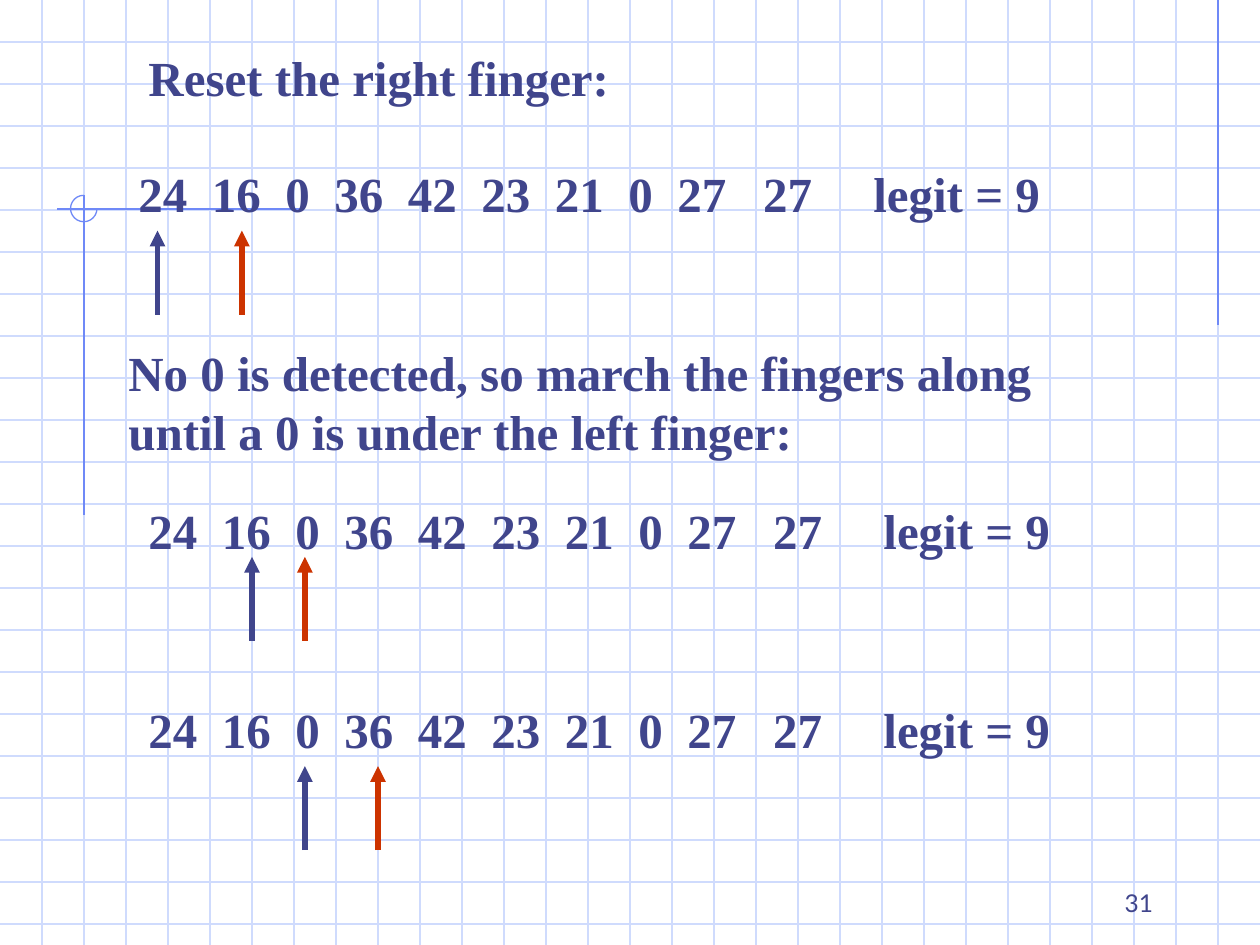
import pptx
import pptx.util
import pptx.dml.color
import pptx.enum.shapes
import pptx.enum.text
import pptx.oxml
import pptx.oxml.ns
import lxml.etree
from dataclasses import dataclass

Inches, Pt = pptx.util.Inches, pptx.util.Pt


@dataclass(frozen=True)
class Theme:
    ink: str = "40458C"
    right_finger: str = "CC3300"
    grid: str = "CFDBFD"
    accent: str = "6F89F7"
    font: str = "Times New Roman"
    number_font: str = "Lato"
    body_size: int = 28
    number_size: int = 14
    thin: float = 0.75
    thick: float = 3


THEME = Theme()
WIDTH, HEIGHT = 10, 7.5
CELL = 1 / 3  # side of a square of the graph paper

# Content: sentences as (text, left, top, width, height)
SENTENCES = [
    ("Reset the right finger:", 1.08, 0.33, 6.25, 0.57),
    ("No 0 is detected, so march the fingers along until a 0 is under the left finger:",
     0.92, 2.67, 7.58, 1.04),
]
# Each array entry with the gap after it, counted in spaces
ENTRIES = [("24", 2), ("16", 2), ("0", 2), ("36", 2), ("42", 2), ("23", 2),
           ("21", 2), ("0", 2), ("27", 3), ("27", 5), ("legit = 9", 0)]
# Steps: array left and top, then left finger x, right finger x, arrow tip y
STEPS = [
    (1.00, 1.25, 1.25, 1.92, 1.83),
    (1.08, 3.92, 2.00, 2.42, 4.42),
    (1.08, 5.50, 2.42, 3.00, 6.08),
]
ARROW_LENGTH = 2 * CELL
SLIDE_NUMBER = "31"


def color(value):
    return pptx.dml.color.RGBColor.from_string(value)


def add_line(shapes, start, end, line_color, weight, arrow=False):
    connector = shapes.add_connector(
        pptx.enum.shapes.MSO_CONNECTOR.STRAIGHT,
        *(Inches(value) for value in (*start, *end)))
    connector.line.color.rgb = color(line_color)
    connector.line.width = Pt(weight)
    if arrow:
        lxml.etree.SubElement(connector.line._get_or_add_ln(),
                              pptx.oxml.ns.qn("a:tailEnd"), type="triangle")
    lxml.etree.SubElement(connector._element.spPr, pptx.oxml.ns.qn("a:effectLst"))


def add_text(shapes, text, left, top, width, height, font, size, tabs=()):
    box = shapes.add_textbox(*(Inches(value) for value in (left, top, width, height)))
    text_frame = box.text_frame
    text_frame.word_wrap = True
    text_frame.text = text
    paragraph = text_frame.paragraphs[0]
    if tabs:
        tab_list = lxml.etree.SubElement(paragraph._p.get_or_add_pPr(),
                                         pptx.oxml.ns.qn("a:tabLst"))
        for position in tabs:
            lxml.etree.SubElement(tab_list, pptx.oxml.ns.qn("a:tab"),
                                  pos=str(int(Pt(position))), algn="l")
    run_font = paragraph.runs[0].font
    run_font.name, run_font.size = font, Pt(size)
    run_font.color.rgb = color(THEME.ink)
    run_font.bold = font == THEME.font
    return text_frame


def entry_tabs():
    """A digit is half an em wide and a space a quarter of an em."""
    position, tabs = 0, []
    for entry, spaces in ENTRIES[:-1]:
        position += THEME.body_size * (len(entry) / 2 + spaces / 4)
        tabs.append(position)
    return tabs


def add_graph_paper(shapes):
    for row in range(1, int(HEIGHT / CELL) + 1):
        add_line(shapes, (0, row * CELL), (WIDTH, row * CELL), THEME.grid, THEME.thin)
    for column in range(1, int(WIDTH / CELL)):
        add_line(shapes, (column * CELL, 0), (column * CELL, HEIGHT), THEME.grid, THEME.thin)

    # Accent rules and the three-quarter circle where they cross
    for start, end in [((29 * CELL, 0), (29 * CELL, 2.58)),
                       ((2.4, 1.66), (0.45, 1.66)),
                       ((2 * CELL, 1.55), (2 * CELL, 4.09))]:
        add_line(shapes, start, end, THEME.accent, THEME.thin)
    arc = shapes.add_shape(pptx.enum.shapes.MSO_SHAPE.ARC, Inches(0.56), Inches(1.55),
                           Inches(0.21), Inches(0.21))
    arc.adjustments[0], arc.adjustments[1] = 0, 162  # right round to the top
    arc.shadow.inherit = False
    arc.fill.background()
    arc.line.color.rgb = color(THEME.accent)
    arc.line.width = Pt(THEME.thin)


def main():
    presentation = pptx.Presentation()
    presentation.slide_width, presentation.slide_height = Inches(WIDTH), Inches(HEIGHT)
    slide = presentation.slides.add_slide(presentation.slide_layouts[6])
    shapes = slide.shapes
    add_graph_paper(shapes)

    # Sentences
    for sentence in SENTENCES:
        add_text(shapes, *sentence, THEME.font, THEME.body_size)

    # Array rows, each with its two fingers
    array_text = "\t".join(entry for entry, _ in ENTRIES)
    for left, top, left_finger, right_finger, tip in STEPS:
        add_text(shapes, array_text, left, top, 7.58, 0.57,
                 THEME.font, THEME.body_size, entry_tabs())
        for x, finger_color in ((left_finger, THEME.ink), (right_finger, THEME.right_finger)):
            add_line(shapes, (x, tip + ARROW_LENGTH), (x, tip),
                     finger_color, THEME.thick, arrow=True)

    # Slide number
    number_frame = add_text(shapes, SLIDE_NUMBER, 7.17, 6.83, 2.08, 0.5,
                            THEME.number_font, THEME.number_size)
    number_frame.vertical_anchor = pptx.enum.text.MSO_ANCHOR.BOTTOM
    number_frame.paragraphs[0].alignment = pptx.enum.text.PP_ALIGN.RIGHT

    presentation.save("out.pptx")


if __name__ == "__main__":
    main()
